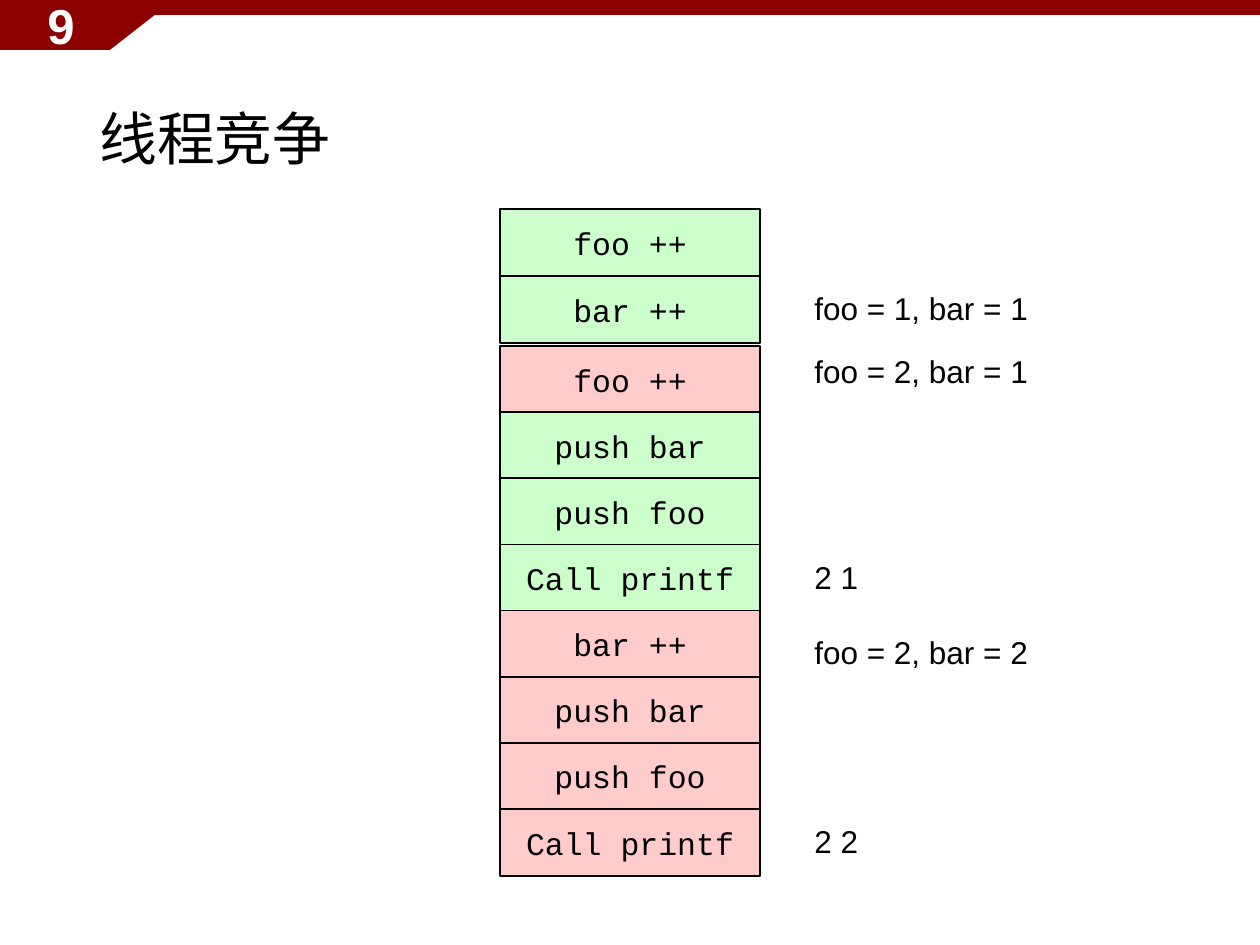
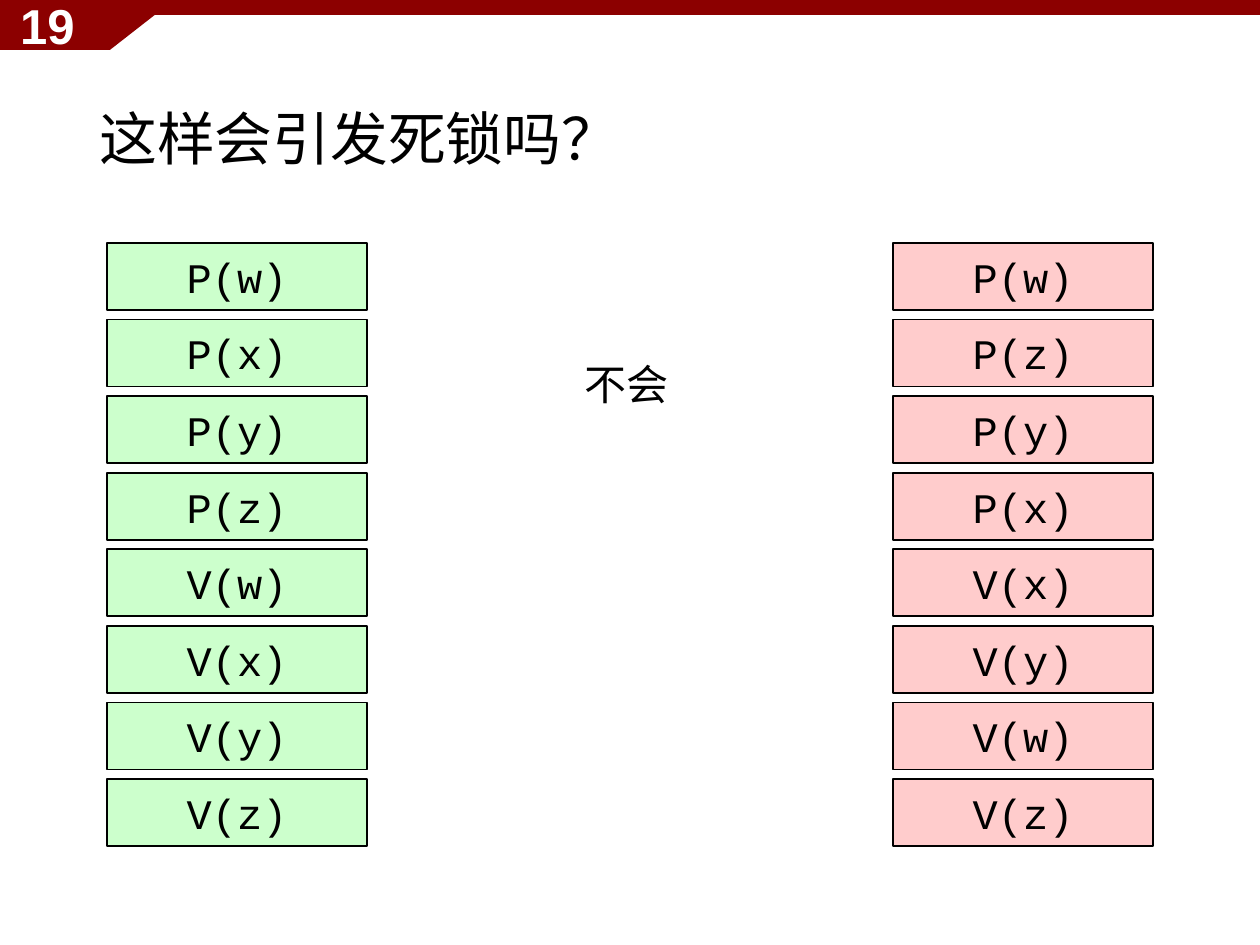
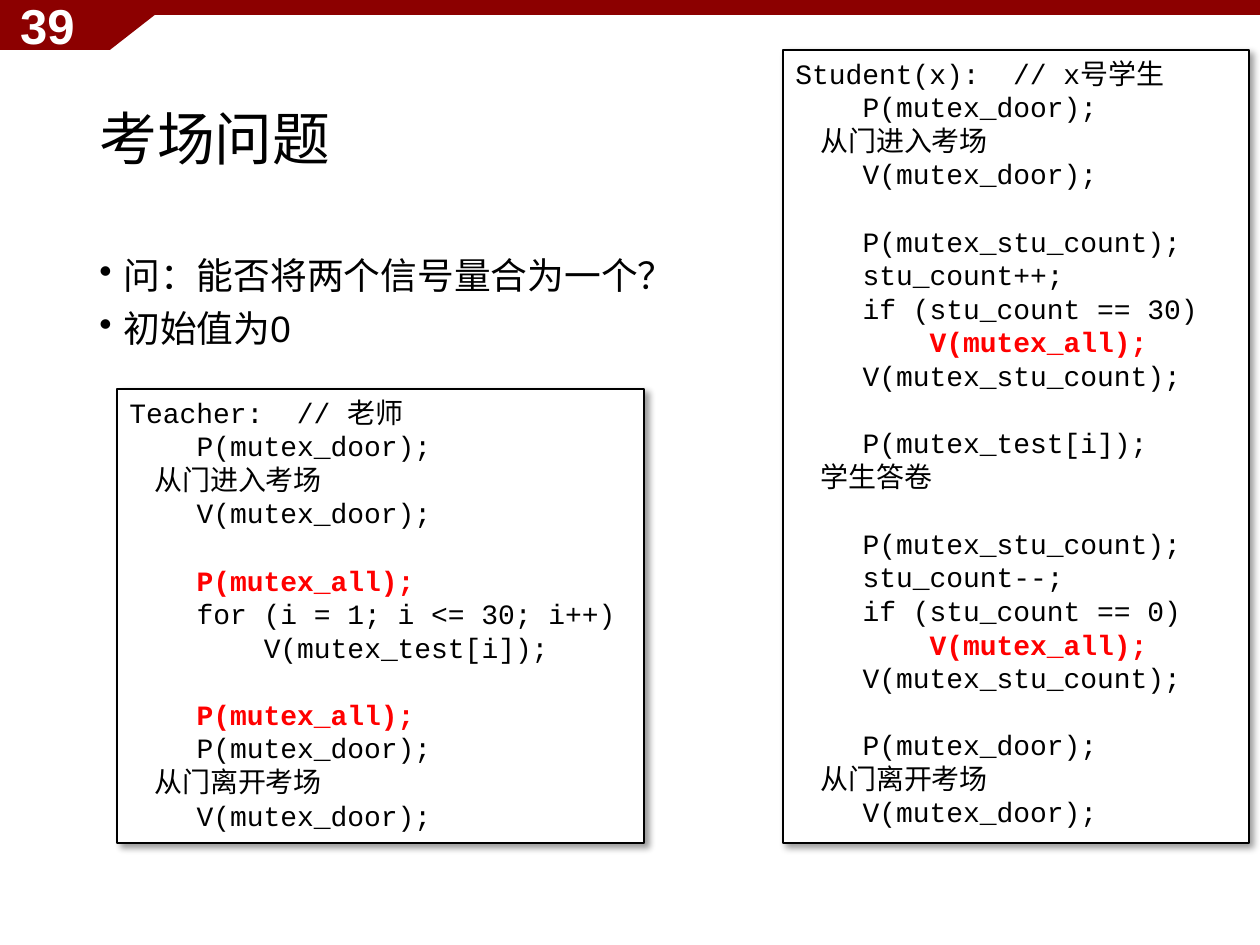
from lxml.etree import SubElement
from pptx import Presentation
from pptx.dml.color import RGBColor
from pptx.enum.shapes import MSO_SHAPE
from pptx.enum.text import MSO_ANCHOR, PP_ALIGN
from pptx.oxml import parse_xml
from pptx.oxml.ns import nsdecls, qn
from pptx.util import Emu, Inches, Pt

BLACK = RGBColor(0x00, 0x00, 0x00)
WHITE = RGBColor(0xFF, 0xFF, 0xFF)
DARK_RED = RGBColor(0x8C, 0x00, 0x00)
RED = RGBColor(0xFF, 0x00, 0x00)
GREEN = RGBColor(0xCC, 0xFF, 0xCC)
PINK = RGBColor(0xFF, 0xCC, 0xCC)

SANS, SERIF, MONO = "Arial", "Times New Roman", "Courier New"
STEP_H = 67
CODE_LINE = Pt(19.2)

TEACHER = """Teacher:  // 老师
    P(mutex_door);
    从门进入考场
    V(mutex_door);

    P(mutex_all);
    for (i = 1; i <= 30; i++)
        V(mutex_test[i]);

    P(mutex_all);
    P(mutex_door);
    从门离开考场
    V(mutex_door);"""

STUDENT = """Student(x):  // x号学生
    P(mutex_door);
    从门进入考场
    V(mutex_door);

    P(mutex_stu_count);
    stu_count++;
    if (stu_count == 30)
        V(mutex_all);
    V(mutex_stu_count);

    P(mutex_test[i]);
    学生答卷

    P(mutex_stu_count);
    stu_count--;
    if (stu_count == 0)
        V(mutex_all);
    V(mutex_stu_count);

    P(mutex_door);
    从门离开考场
    V(mutex_door);"""


def px(n):
    return Emu(round(n * 914400 / 126))


def write(tf, lines, size, font=SANS, color=BLACK, bold=False,
          align=PP_ALIGN.LEFT, anchor=MSO_ANCHOR.TOP):
    tf.word_wrap = True
    tf.vertical_anchor = anchor
    for i, line in enumerate(lines):
        p = tf.paragraphs[0] if i == 0 else tf.add_paragraph()
        p.text = line
        p.alignment = align
        p.font.name = font
        p.font.size = Pt(size)
        p.font.bold = bold
        p.font.color.rgb = color
    return tf.paragraphs


def text(s, box, lines, size, **style):
    tb = s.shapes.add_textbox(*map(px, box))
    return write(tb.text_frame, lines, size, **style)


def paint(sp, fill, line_width=None):
    sp.shadow.inherit = False
    sp.fill.solid()
    sp.fill.fore_color.rgb = fill
    if line_width is None:
        sp.line.fill.background()
    else:
        sp.line.color.rgb = BLACK
        sp.line.width = Pt(line_width)


def rect(s, box, fill, line_width=None):
    sp = s.shapes.add_shape(MSO_SHAPE.RECTANGLE, *map(px, box))
    paint(sp, fill, line_width)
    return sp


def banner(s, number):
    fb = s.shapes.build_freeform(px(-1), px(0))
    fb.add_line_segments([(px(x), px(y)) for x, y in ((-1, 50), (110, 50), (174, 0))])
    paint(fb.convert_to_shape(), DARK_RED)
    rect(s, (-1, 0, 1261, 15), DARK_RED)
    text(s, (-3, 0, 90, 50), [str(number)], 28, color=WHITE, bold=True,
         align=PP_ALIGN.RIGHT, anchor=MSO_ANCHOR.MIDDLE)


def new_slide(prs, number, title):
    s = prs.slides.add_slide(prs.slide_layouts[6])
    banner(s, number)
    p, = text(s, (87, 50, 1086, 183), [title], 33, font=SERIF, anchor=MSO_ANCHOR.MIDDLE)
    p.line_spacing = 0.9
    return s


def stack(s, box, steps, size):
    x, y, w, h = box
    pitch = (h - STEP_H) / (len(steps) - 1)
    for i, (label, fill) in enumerate(steps):
        sp = rect(s, (x, y + i * pitch, w, STEP_H), fill, 1)
        write(sp.text_frame, [label], size, font=MONO,
              align=PP_ALIGN.CENTER, anchor=MSO_ANCHOR.MIDDLE)


def bullets(s, box, lines):
    for p in text(s, box, lines, 21):
        p.line_spacing = 0.9
        p.space_before = Pt(7.5)
        pPr = p._p.get_or_add_pPr()
        pPr.set("marL", str(px(24)))
        pPr.set("indent", str(px(-24)))
        bu = parse_xml(f'<a:buChar {nsdecls("a")} char="•"/>')
        pPr.insert_element_before(bu, "a:tabLst", "a:defRPr", "a:extLst")


def drop_shadow(sp):
    effects = sp._element.spPr.find(qn("a:effectLst"))
    shadow = SubElement(effects, qn("a:outerShdw"), blurRad=str(Pt(4)), dist=str(Pt(3)),
                        dir="2700000", algn="tl", rotWithShape="0")
    color = SubElement(shadow, qn("a:srgbClr"), val=str(BLACK))
    SubElement(color, qn("a:alpha"), val="40000")


def code_indent(line):
    body = line.lstrip()
    space_width = 16.8 if body.isascii() else 6.25
    return px((len(line) - len(body)) * space_width)


def code_panel(s, box, code):
    sp = rect(s, box, WHITE, 0.75)
    drop_shadow(sp)
    rows = code.split("\n")
    lines = [row for row in rows if row]
    gaps = [before == "" for before, row in zip(["start"] + rows, rows) if row]
    paragraphs = write(sp.text_frame, [line.lstrip() for line in lines], 16, font=MONO)
    for p, line, gap in zip(paragraphs, lines, gaps):
        p.line_spacing = CODE_LINE
        p.space_before = CODE_LINE if gap else Pt(0)
        p._p.get_or_add_pPr().set("marL", str(code_indent(line)))
        if "mutex_all" in line:
            p.font.color.rgb = RED
            p.font.bold = True


def race_slide(prs):
    s = new_slide(prs, 9, "线程竞争")
    stack(s, (500, 209, 260, 134), [("foo ++", GREEN), ("bar ++", GREEN)], 18)
    output = ["push bar", "push foo", "Call printf"]
    steps = [("foo ++", PINK)] + [(t, GREEN) for t in output]
    steps += [(t, PINK) for t in ["bar ++"] + output]
    stack(s, (500, 346, 260, 530), steps, 18)
    for y, state in ((283, "foo = 1, bar = 1"), (346, "foo = 2, bar = 1"), (552, "2 1"),
                     (627, "foo = 2, bar = 2"), (816, "2 2")):
        text(s, (802, y, 338, 50), [state], 18)


def deadlock_slide(prs):
    s = new_slide(prs, 19, "这样会引发死锁吗？")
    for x, fill, locks, unlocks in ((107, GREEN, "wxyz", "wxyz"), (893, PINK, "wzyx", "xywz")):
        steps = [(f"P({c})", fill) for c in locks] + [(f"V({c})", fill) for c in unlocks]
        stack(s, (x, 243, 260, 603), steps, 24)
    text(s, (572, 352, 117, 63), ["不会"], 24)


def exam_slide(prs):
    s = new_slide(prs, 39, "考场问题")
    bullets(s, (87, 252, 1086, 600), ["问：能否将两个信号量合为一个？", "初始值为0"])
    code_panel(s, (117, 389, 527, 454), TEACHER)
    code_panel(s, (783, 50, 466, 793), STUDENT)


def main():
    prs = Presentation()
    prs.slide_width, prs.slide_height = Inches(10), Inches(7.5)
    race_slide(prs)
    deadlock_slide(prs)
    exam_slide(prs)
    prs.save("out.pptx")


if __name__ == "__main__":
    main()
